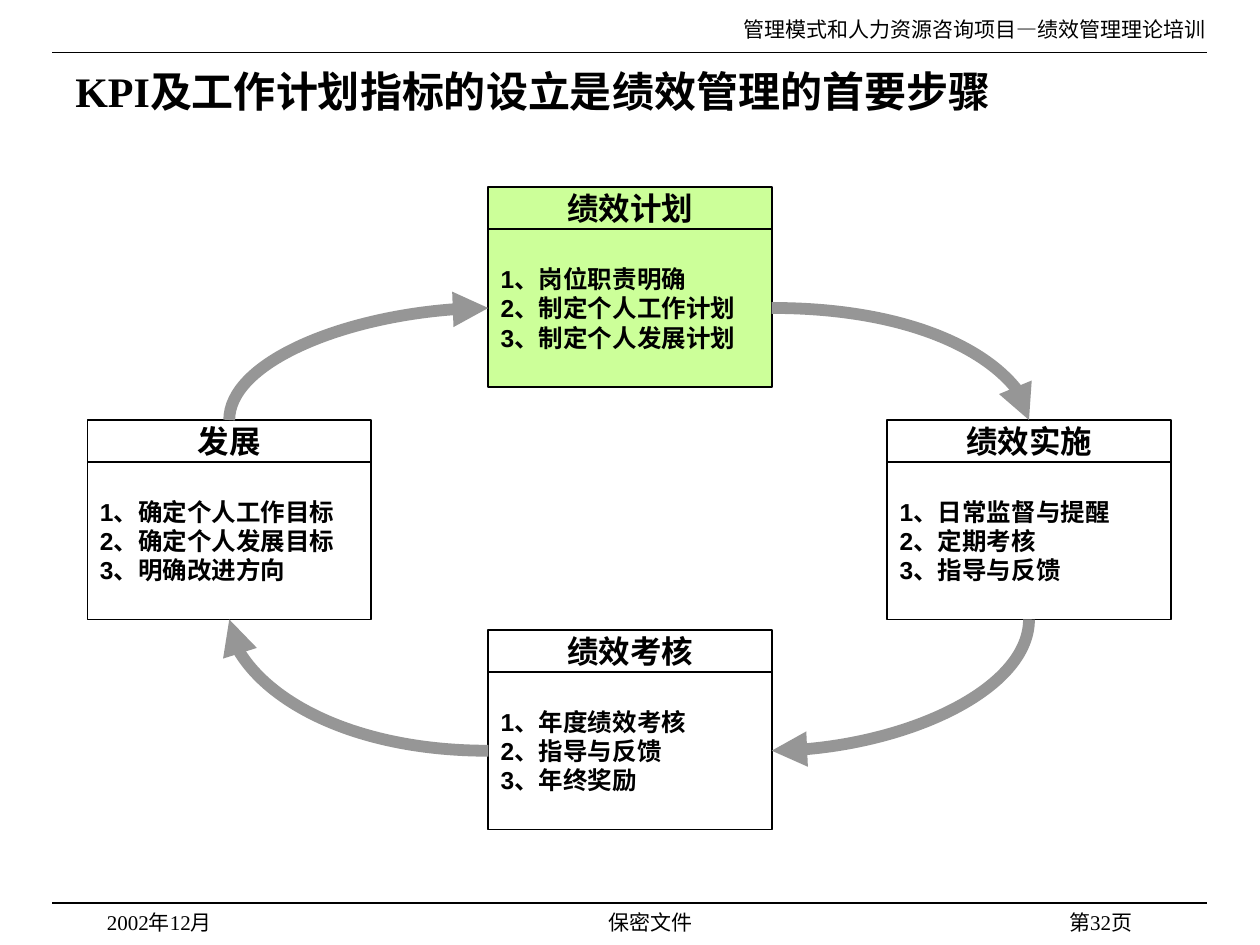
import pptx
import pptx.dml.color
import pptx.enum.shapes
import pptx.enum.text
import pptx.oxml.ns
import pptx.util
from lxml import etree

Pt = pptx.util.Pt
ALIGN = pptx.enum.text.PP_ALIGN
ANCHOR = pptx.enum.text.MSO_ANCHOR
CONNECTOR = pptx.enum.shapes.MSO_CONNECTOR
qn = pptx.oxml.ns.qn

BLACK = pptx.dml.color.RGBColor(0x00, 0x00, 0x00)
GRAY = pptx.dml.color.RGBColor(0x96, 0x96, 0x96)
GREEN = pptx.dml.color.RGBColor(0xCC, 0xFF, 0x99)
SERIF, SANS, CHINESE = "Times New Roman", "Arial", "Noto Sans CJK SC"

CARD_WIDTH, HEADING_HEIGHT, BODY_HEIGHT = 162, 24, 90
TOP, LEFT, BOTTOM, RIGHT = range(4)

# Clockwise: heading, items, left, top, fill, outgoing side, incoming side
STAGES = [
    ("绩效计划", ["岗位职责明确", "制定个人工作计划", "制定个人发展计划"],
     279, 107, GREEN, RIGHT, LEFT),
    ("绩效实施", ["日常监督与提醒", "定期考核", "指导与反馈"],
     507, 240, None, BOTTOM, TOP),
    ("绩效考核", ["年度绩效考核", "指导与反馈", "年终奖励"],
     279, 360, None, LEFT, RIGHT),
    ("发展", ["确定个人工作目标", "确定个人发展目标", "明确改进方向"],
     50, 240, None, TOP, BOTTOM),
]


def write_text(shape, lines, size=12, font=SERIF, bold=False,
               align=ALIGN.LEFT, anchor=ANCHOR.TOP):
    frame = shape.text_frame
    frame.word_wrap = True
    frame.vertical_anchor = anchor
    for index, line in enumerate(lines):
        paragraph = frame.add_paragraph() if index else frame.paragraphs[0]
        paragraph.alignment = align
        run = paragraph.add_run()
        run.text = line
        run.font.size = Pt(size)
        run.font.name = font
        run.font.bold = bold
        run.font.color.rgb = BLACK
        east_asian = etree.Element(qn("a:ea"), typeface=CHINESE)
        run.font._element.find(qn("a:latin")).addnext(east_asian)


def add_text(slide, text, left, top, width, height, **text_format):
    box = slide.shapes.add_textbox(Pt(left), Pt(top), Pt(width), Pt(height))
    write_text(box, [text], **text_format)


def add_box(slide, lines, left, top, height, fill, **text_format):
    box = slide.shapes.add_shape(
        pptx.enum.shapes.MSO_SHAPE.RECTANGLE,
        Pt(left), Pt(top), Pt(CARD_WIDTH), Pt(height))
    box.shadow.inherit = False
    if fill is None:
        box.fill.background()
    else:
        box.fill.solid()
        box.fill.fore_color.rgb = fill
    box.line.color.rgb = BLACK
    box.line.width = Pt(1)
    write_text(box, lines, bold=True, font=SANS, anchor=ANCHOR.MIDDLE,
               **text_format)
    return box


def add_card(slide, heading, items, left, top, fill):
    """Return the heading box and the body box of one stage."""
    numbered = [f"{number}、{item}" for number, item in enumerate(items, 1)]
    heading_box = add_box(slide, [heading], left, top, HEADING_HEIGHT, fill,
                          size=18, align=ALIGN.CENTER)
    body_box = add_box(slide, numbered, left, top + HEADING_HEIGHT,
                       BODY_HEIGHT, fill, size=14)
    return heading_box, body_box


def add_line(slide, kind, color, width, start=(0, 0), end=(0, 0)):
    line = slide.shapes.add_connector(
        kind, Pt(start[0]), Pt(start[1]), Pt(end[0]), Pt(end[1]))
    line.line.color.rgb = color
    line.line.width = Pt(width)
    etree.SubElement(line._element.spPr, qn("a:effectLst"))
    return line


def add_cycle_arrow(slide, source, source_side, target, target_side, turns):
    """Join two boxes by a quarter curve, rotated by a number of right angles."""
    arrow = add_line(slide, CONNECTOR.CURVE, GRAY, 6.75)
    arrow.begin_connect(source, source_side)
    arrow.end_connect(target, target_side)
    left, top = arrow.left, arrow.top
    width, height = arrow.width, arrow.height
    properties = arrow._element.spPr
    properties.find(qn("a:prstGeom")).set("prst", "curvedConnector2")
    transform = properties.find(qn("a:xfrm"))
    transform.flipH = transform.flipV = False
    transform.set("rot", str(turns * 90 * 60000))
    if turns % 2:
        # A quarter turn swaps the sides around the same centre
        left += (width - height) // 2
        top += (height - width) // 2
        width, height = height, width
    arrow.left, arrow.top = left, top
    arrow.width, arrow.height = width, height
    outline = properties.find(qn("a:ln"))
    etree.SubElement(outline, qn("a:tailEnd"), type="triangle")


def add_page_frame(slide):
    for y in (30, 516):
        add_line(slide, CONNECTOR.STRAIGHT, BLACK, 0.75, (30, y), (690, y))
    add_text(slide, "管理模式和人力资源咨询项目—绩效管理理论培训",
             360, 6, 336, 22, align=ALIGN.RIGHT)
    add_text(slide, "2002年12月", 54, 516, 150, 18)
    add_text(slide, "保密文件", 210, 516, 324, 18, align=ALIGN.CENTER)
    add_text(slide, "第32页", 504, 516, 150, 18, align=ALIGN.RIGHT)


def add_cycle(slide):
    cards = [add_card(slide, *stage[:5]) for stage in STAGES]
    for index, (heading_box, body_box) in enumerate(cards):
        following = (index + 1) % len(cards)
        out_side, in_side = STAGES[index][5], STAGES[following][6]
        source = heading_box if out_side == TOP else body_box
        target = cards[following][0 if in_side == TOP else 1]
        add_cycle_arrow(slide, source, out_side, target, in_side, index)


def main():
    presentation = pptx.Presentation()
    presentation.slide_width, presentation.slide_height = Pt(720), Pt(540)
    slide = presentation.slides.add_slide(presentation.slide_layouts[6])
    add_page_frame(slide)
    add_cycle(slide)
    add_text(slide, "KPI及工作计划指标的设立是绩效管理的首要步骤",
             36, 34, 642, 36, size=24, bold=True, anchor=ANCHOR.MIDDLE)
    presentation.save("out.pptx")


if __name__ == "__main__":
    main()
